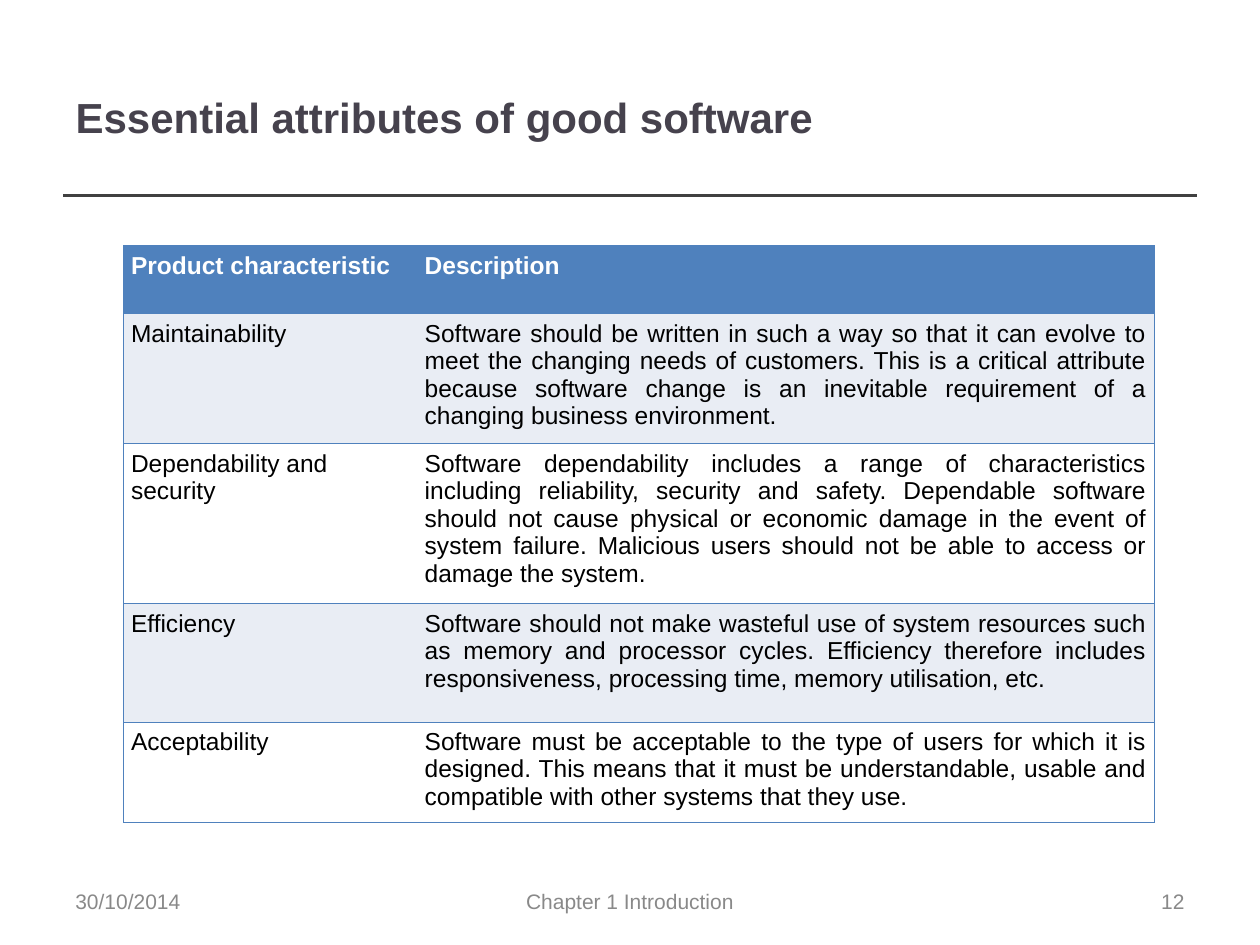
from lxml import etree
from pptx import Presentation
from pptx.dml.color import RGBColor
from pptx.enum.shapes import MSO_CONNECTOR
from pptx.enum.text import MSO_ANCHOR, PP_ALIGN
from pptx.oxml.ns import qn
from pptx.util import Inches, Pt

LINE = MSO_CONNECTOR.STRAIGHT
MIDDLE = MSO_ANCHOR.MIDDLE
LEFT, CENTER, RIGHT, FULL = (
    PP_ALIGN.LEFT, PP_ALIGN.CENTER, PP_ALIGN.RIGHT, PP_ALIGN.JUSTIFY)
WIDE, HIGH = 10, 7.5
HUES = {"title": "46424D", "rule": "404040", "head": "4F81BD", "band": "E9EDF4",
        "plain": "FFFFFF", "text": "000000", "foot": "898989"}
ROWS = [
    (0.54, "Product characteristic", "Description"),
    (1.03, "Maintainability",
     "Software should be written in such a way so that it can evolve to meet the "
     "changing needs of customers. This is a critical attribute because software "
     "change is an inevitable requirement of a changing business environment."),
    (1.27, "Dependability and security",
     "Software dependability includes a range of characteristics including "
     "reliability, security and safety. Dependable software should not cause "
     "physical or economic damage in the event of system failure. Malicious users "
     "should not be able to access or damage the system."),
    (0.94, "Efficiency",
     "Software should not make wasteful use of system resources such as memory and "
     "processor cycles. Efficiency therefore includes responsiveness, processing "
     "time, memory utilisation, etc."),
    (0.8, "Acceptability",
     "Software must be acceptable to the type of users for which it is designed. "
     "This means that it must be understandable, usable and compatible with other "
     "systems that they use."),
]


def hue(name):
    return RGBColor.from_string(HUES[name])


def write(frame, text, size, color, align=LEFT, bold=False):
    frame.word_wrap = True
    para = frame.paragraphs[0]
    para.text = text
    para.alignment = align
    font = para.font
    font.name, font.size, font.bold = "Arial", Pt(size), bold
    font.color.rgb = hue(color)


def edge(cell, side, shown):
    props = cell._tc.get_or_add_tcPr()
    line = etree.SubElement(props, qn(f"a:ln{side}"), w=str(Pt(0.45)))
    if shown:
        fill = etree.SubElement(line, qn("a:solidFill"))
        etree.SubElement(fill, qn("a:srgbClr"), val=HUES["head"])
    else:
        etree.SubElement(line, qn("a:noFill"))


def add_head(slide, box):
    left, top, wide, high = box
    title = slide.shapes.title
    title.left, title.top = Inches(left), Inches(top)
    title.width, title.height = Inches(wide * 0.89), Inches(high)
    title.text_frame.vertical_anchor = MIDDLE
    write(title.text_frame, "Essential attributes of good software", 24, "title",
          bold=True)
    base = Inches(top + high)
    for share in (0.89, 1):
        rule = slide.shapes.add_connector(
            LINE, Inches(left), base, Inches(left + wide * share), base)
        rule.line.color.rgb = hue("rule")
        rule.line.width = Pt(2)
        etree.SubElement(rule._element.spPr, qn("a:effectLst"))


def add_grid(slide, box):
    left, top, wide, high = box
    grid = slide.shapes.add_table(
        len(ROWS), 2, Inches(left), Inches(top), Inches(wide), Inches(high)).table
    grid.first_row = grid.horz_banding = False
    for col, share in zip(grid.columns, (0.285, 0.715)):
        col.width = Inches(wide * share)
    total = sum(row[0] for row in ROWS)
    for i, (tall, *texts) in enumerate(ROWS):
        grid.rows[i].height = Inches(high * tall / total)
        for j, text in enumerate(texts):
            cell = grid.cell(i, j)
            cell.margin_left = cell.margin_right = Inches(0.06)
            cell.margin_top = cell.margin_bottom = Inches(0.05)
            for side in "LRTB":
                edge(cell, side, side != "RL"[j])
            cell.fill.solid()
            cell.fill.fore_color.rgb = hue(
                "head" if i == 0 else "band" if i % 2 else "plain")
            align = LEFT if (i, j) == (2, 0) else FULL
            write(cell.text_frame, text, 14, "text" if i else "plain", align, i == 0)


def add_foot(slide, box):
    left, top, wide, high = box
    parts = [("30/10/2014", 0, 0.26, LEFT),
             ("Chapter 1 Introduction", 0.324, 0.352, CENTER),
             ("12", 0.74, 0.26, RIGHT)]
    for text, start, share, align in parts:
        note = slide.shapes.add_textbox(
            Inches(left + wide * start), Inches(top), Inches(wide * share),
            Inches(high))
        note.text_frame.vertical_anchor = MIDDLE
        write(note.text_frame, text, 12, "foot", align)


def main():
    deck = Presentation()
    deck.slide_width, deck.slide_height = Inches(WIDE), Inches(HIGH)
    slide = deck.slides.add_slide(deck.slide_layouts[5])
    side, span = WIDE * 0.05, WIDE * 0.9
    add_head(slide, (side, HIGH * 0.04, span, 1.25))
    add_grid(slide, (0.98, HIGH * 0.26, 8.18, 4.58))
    add_foot(slide, (side, 6.95, span, 0.4))
    deck.save("out.pptx")


if __name__ == "__main__":
    main()
